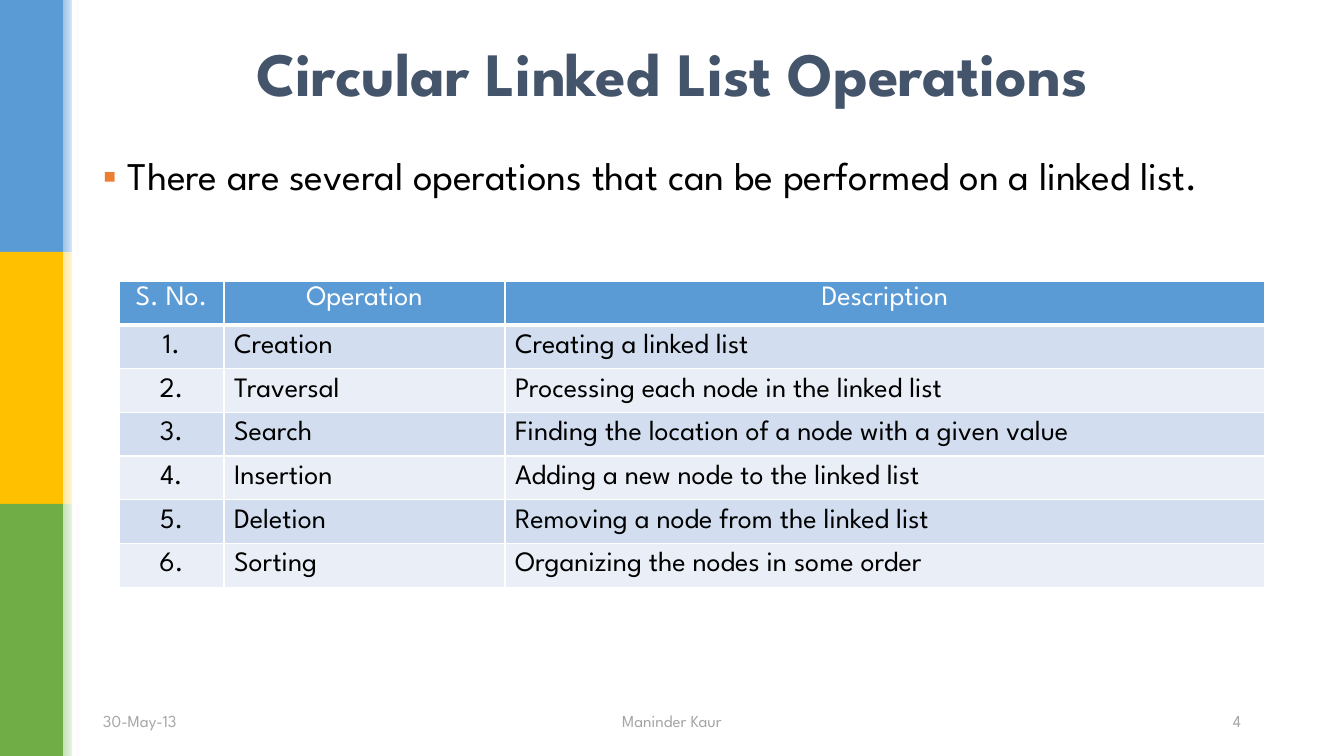
from lxml import etree
from pptx import Presentation
from pptx.dml.color import RGBColor
from pptx.enum.shapes import MSO_SHAPE
from pptx.enum.text import MSO_ANCHOR, PP_ALIGN
from pptx.oxml.ns import qn
from pptx.util import Pt

RECT = MSO_SHAPE.RECTANGLE
TOP, MIDDLE = MSO_ANCHOR.TOP, MSO_ANCHOR.MIDDLE
LEFT, CENTER, RIGHT = PP_ALIGN.LEFT, PP_ALIGN.CENTER, PP_ALIGN.RIGHT
PX = 914400 / 100.8
FONT = "League Spartan"

WHITE = RGBColor(0xFF, 0xFF, 0xFF)
BLACK = RGBColor(0, 0, 0)
SLATE = RGBColor(0x44, 0x54, 0x6A)
GRAY = RGBColor(0xA5, 0xA5, 0xA5)
BLUE = RGBColor(0x5B, 0x9B, 0xD5)
GOLD = RGBColor(0xFF, 0xC0, 0x00)
GREEN = RGBColor(0x70, 0xAD, 0x47)
PALE_BLUE = RGBColor(0x9D, 0xC3, 0xE6)
PALE_GOLD = RGBColor(0xFF, 0xE6, 0x99)
PALE_GREEN = RGBColor(0xC5, 0xE0, 0xB4)
BAND_DARK = RGBColor(0xD2, 0xDE, 0xEF)
BAND_LIGHT = RGBColor(0xEA, 0xEF, 0xF7)


def px(*values):
    return [round(v * PX) for v in values]


def write(tf, text, size, color, align=LEFT, bold=False):
    tf.text = text
    tf.word_wrap = True
    p = tf.paragraphs[0]
    p.alignment = align
    font = p.runs[0].font
    font.name, font.size, font.bold = FONT, Pt(size), bold
    font.color.rgb = color
    return p


prs = Presentation()
prs.slide_width, prs.slide_height = px(1344, 756)
s = prs.slides.add_slide(prs.slide_layouts[6])

bars = [(BLUE, PALE_BLUE), (GOLD, PALE_GOLD), (GREEN, PALE_GREEN)]
for i, (color, pale) in enumerate(bars):
    bar = s.shapes.add_shape(RECT, *px(0, 252 * i, 63, 252))
    bar.fill.solid()
    bar.fill.fore_color.rgb = color
    fade = s.shapes.add_shape(RECT, *px(63, 252 * i, 16, 252))
    fade.fill.gradient()
    fade.fill.gradient_angle = 0
    for stop, stop_color in zip(fade.fill.gradient_stops, (pale, WHITE)):
        stop.color.rgb = stop_color
strip = s.shapes.add_shape(RECT, *px(72, 0, 5, 756))
strip.fill.solid()
strip.fill.fore_color.rgb = WHITE
for sp in s.shapes:
    sp.line.fill.background()
    sp.shadow.inherit = False

texts = [
    ("Circular Linked List Operations", (93, 17, 1159, 110), 44, SLATE, CENTER, MIDDLE),
    ("There are several operations that can be performed on a linked list.",
     (93, 152, 1159, 158), 28, BLACK, LEFT, TOP),
    ("30-May-13", (93, 701, 361, 40), 12, GRAY, LEFT, MIDDLE),
    ("Maninder Kaur", (512, 701, 320, 40), 12, GRAY, CENTER, MIDDLE),
    ("4", (890, 701, 361, 40), 12, GRAY, RIGHT, MIDDLE),
]
for text, box, size, color, align, anchor in texts:
    tf = s.shapes.add_textbox(*px(*box)).text_frame
    tf.vertical_anchor = anchor
    p = write(tf, text, size, color, align, bold=size == 44)
    if size == 28:
        p.line_spacing = 0.9
        p.space_before, p.space_after = Pt(8), Pt(12)
        pPr = p._p.get_or_add_pPr()
        indent = px(25)[0]
        pPr.set("marL", str(indent))
        pPr.set("indent", str(-indent))
        bullet_color = etree.SubElement(pPr, qn("a:buClr"))
        etree.SubElement(bullet_color, qn("a:srgbClr"), val="ED7D31")
        etree.SubElement(pPr, qn("a:buFont"), typeface="Arial")
        etree.SubElement(pPr, qn("a:buChar"), char="▪")

rows = [
    ("S. No.", "Operation", "Description"),
    ("1.", "Creation", "Creating a linked list"),
    ("2.", "Traversal", "Processing each node in the linked list"),
    ("3.", "Search", "Finding the location of a node with a given value"),
    ("4.", "Insertion", "Adding a new node to the linked list"),
    ("5.", "Deletion", "Removing a node from the linked list"),
    ("6.", "Sorting", "Organizing the nodes in some order"),
]
table = s.shapes.add_table(len(rows), 3, *px(119, 281, 1146, 287)).table
for column, width in zip(table.columns, px(105, 281, 760)):
    column.width = width
for r, row in enumerate(rows):
    table.rows[r].height = px(41)[0]
    header = r == 0
    band = BLUE if header else BAND_DARK if r % 2 else BAND_LIGHT
    for c, text in enumerate(row):
        cell = table.cell(r, c)
        write(cell.text_frame, text, 20, WHITE if header else BLACK,
              CENTER if header or c == 0 else LEFT)
        cell.vertical_anchor = TOP if header else MIDDLE
        tcPr = cell._tc.get_or_add_tcPr()
        for side in ("lnL", "lnR", "lnT", "lnB"):
            weight = Pt(3 if header and side == "lnB" else 1)
            line = etree.SubElement(tcPr, qn("a:" + side), w=str(weight))
            fill = etree.SubElement(line, qn("a:solidFill"))
            etree.SubElement(fill, qn("a:srgbClr"), val=str(WHITE))
        cell.fill.solid()
        cell.fill.fore_color.rgb = band

prs.save("out.pptx")
